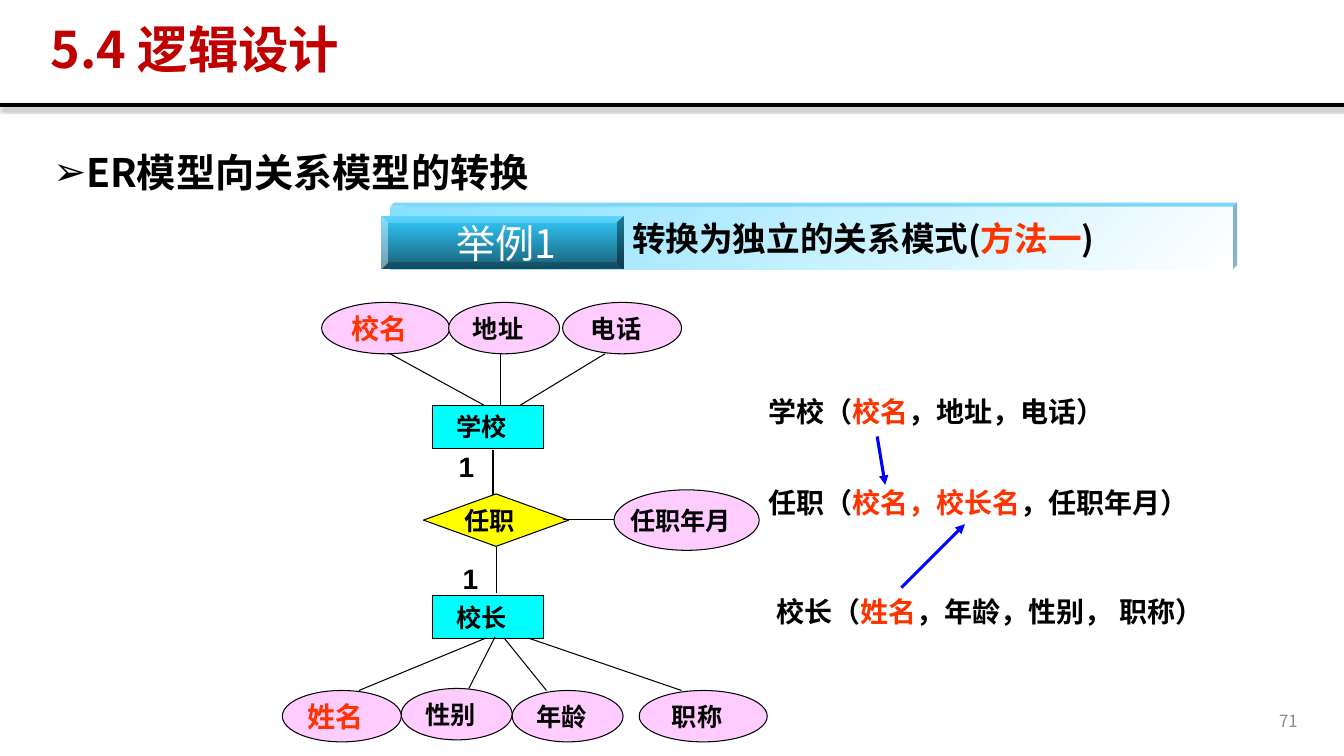
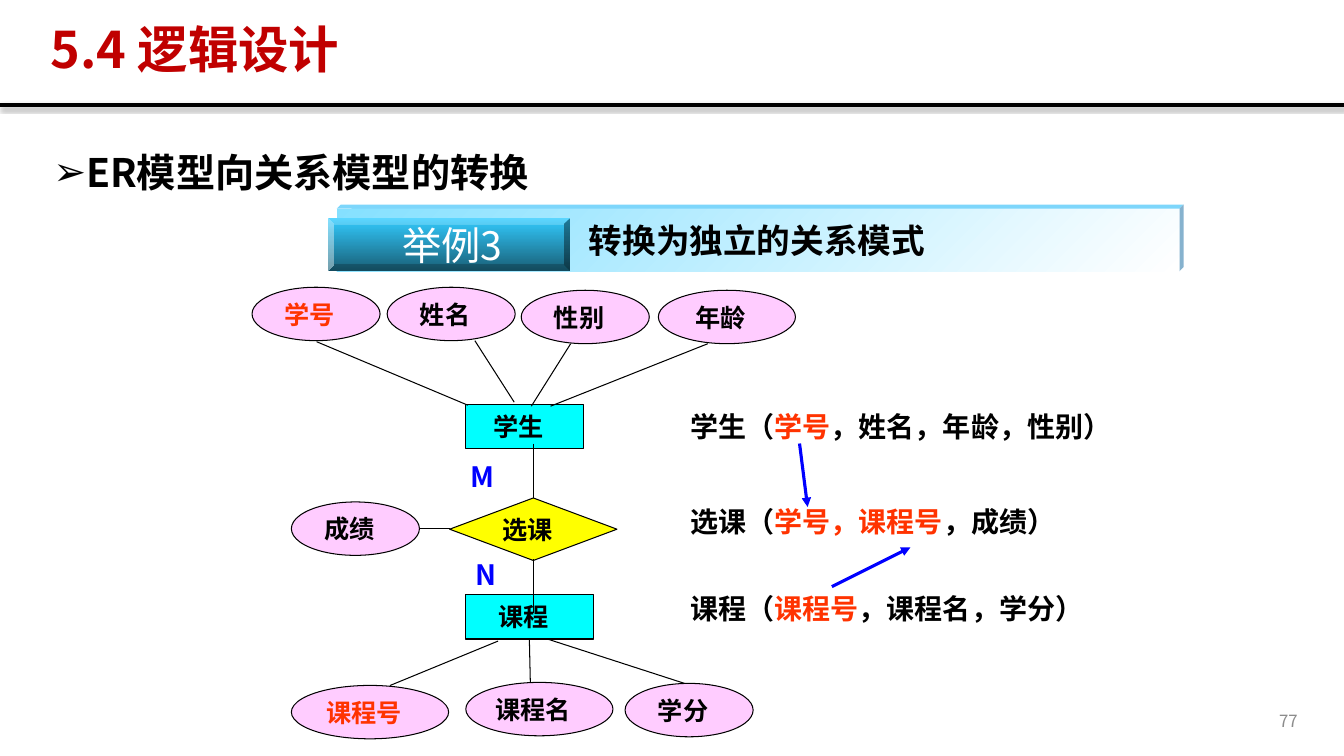
from lxml.etree import SubElement
from pptx import Presentation
from pptx.dml.color import RGBColor
from pptx.enum.shapes import MSO_CONNECTOR, MSO_SHAPE
from pptx.enum.text import MSO_ANCHOR, MSO_AUTO_SIZE, PP_ALIGN
from pptx.oxml import parse_xml
from pptx.oxml.ns import nsdecls, qn
from pptx.util import Pt

PX = 9144
FONT = "Noto Sans CJK SC"
COLORS = {
    "black": "000000", "white": "FFFFFF", "title": "C00000", "key": "FF3300",
    "number": "8C8C8C", "entity": "00FFFF", "relation": "FFFF00",
    "attribute": "FFCCFF", "arrow": "0000FF", "banner": "85E0FF",
    "banner_top": "7DD6FB", "banner_side": "86B2CE",
    "badge": "33CCFF", "badge_dark": "185E76",
}
OUTLINES = {"entity": MSO_SHAPE.RECTANGLE, "relation": MSO_SHAPE.DIAMOND,
            "attribute": MSO_SHAPE.OVAL}

SCHOOL = {
    "number": "71",
    "banner": (387, 205, "举例1", 240,
               [("转换为独立的关系模式(", "black"), ("方法一", "key"), (")", "black")]),
    "nodes": [
        ("entity", "学校", 429, 402, 110, 43),
        ("entity", "校长", 429, 591, 110, 43),
        ("relation", "任职", 420, 490, 144, 52),
        ("attribute", "任职年月", 609, 486, 144, 60),
        ("attribute", "校名", 319, 300, 127, 51, "key", 20),
        ("attribute", "地址", 445, 300, 110, 51),
        ("attribute", "电话", 558, 300, 118, 51),
        ("attribute", "性别", 398, 683, 110, 51),
        ("attribute", "年龄", 508, 685, 110, 51),
        ("attribute", "姓名", 280, 685, 118, 51, "key", 20),
        ("attribute", "职称", 634, 685, 127, 51),
    ],
    "links": [
        (489, 446, 489, 491), (492, 543, 492, 588), (558, 515, 609, 515),
        (387, 351, 480, 402), (496, 351, 496, 402), (600, 351, 516, 402),
        (491, 632, 465, 683), (500, 633, 542, 685), (482, 633, 356, 685),
        (524, 633, 676, 685),
    ],
    "cardinalities": [("1", 445, 441, "black", "Arial"), ("1", 449, 552, "black", "Arial")],
    "schemas": [
        (752, 386, "学校（", "校名", "，地址，电话）"),
        (752, 477, "任职（", "校名，校长名", "，任职年月）"),
        (760, 585, "校长（", "姓名", "，年龄，性别， 职称）"),
    ],
    "arrows": [(870, 433, 878, 481), (894, 583, 957, 520)],
}

COURSE = {
    "number": "77",
    "banner": (334, 207, "举例3", 250, [("转换为独立的关系模式", "black")]),
    "nodes": [
        ("entity", "学生", 462, 401, 117, 44),
        ("entity", "课程", 462, 590, 127, 44),
        ("relation", "选课", 446, 494, 166, 62),
        ("attribute", "成绩", 289, 498, 127, 53),
        ("attribute", "课程名", 462, 677, 146, 53),
        ("attribute", "课程号", 289, 680, 156, 53, "key"),
        ("attribute", "学分", 620, 678, 127, 53),
        ("attribute", "学号", 250, 285, 127, 53, "key"),
        ("attribute", "姓名", 384, 285, 127, 53),
        ("attribute", "性别", 517, 288, 127, 53),
        ("attribute", "年龄", 653, 288, 136, 53),
    ],
    "links": [
        (416, 524, 446, 524), (529, 440, 529, 494), (529, 555, 529, 608),
        (525, 633, 526, 677), (494, 636, 387, 680), (543, 634, 679, 678),
        (314, 339, 464, 402), (471, 338, 510, 399), (566, 341, 527, 403),
        (702, 341, 546, 403),
    ],
    "cardinalities": [("M", 457, 451, "arrow", FONT), ("N", 462, 548, "arrow", FONT)],
    "schemas": [
        (675, 401, "学生（", "学号", "，姓名，年龄，性别）"),
        (675, 496, "选课（", "学号，课程号", "，成绩）"),
        (675, 582, "课程（", "课程号", "，课程名，学分）"),
    ],
    "arrows": [(793, 440, 801, 503), (825, 582, 903, 543)],
}


def color(name):
    """Return the named colour."""
    return RGBColor.from_string(COLORS[name])


def px(*lengths):
    """Turn pixel lengths into EMU."""
    return [length * PX for length in lengths]


def write(frame, runs, size=18, bold=True, font=FONT, align=PP_ALIGN.LEFT,
          anchor=MSO_ANCHOR.TOP, wrap=False, spacing=None, bullet=None,
          margins=(10, 5, 10, 5)):
    """Fill a text frame with one paragraph of (text, colour) runs."""
    frame.word_wrap = wrap
    frame.auto_size = MSO_AUTO_SIZE.NONE
    frame.vertical_anchor = anchor
    (frame.margin_left, frame.margin_top,
     frame.margin_right, frame.margin_bottom) = px(*margins)
    paragraph = frame.paragraphs[0]
    paragraph.alignment = align
    paragraph.space_before = Pt(0)
    if spacing:
        paragraph.line_spacing = spacing
    if bullet:
        properties = paragraph._p.get_or_add_pPr()
        properties.set("marL", str(25 * PX))
        properties.set("indent", str(-25 * PX))
        SubElement(properties, qn("a:buChar")).set("char", bullet)
    for text, color_name in runs:
        run = paragraph.add_run()
        run.text = text
        run.font.size = Pt(size)
        run.font.bold = bold
        run.font.color.rgb = color(color_name)
        run.font.name = font
        SubElement(run._r.get_or_add_rPr(), qn("a:ea")).set("typeface", font)


def add_text(slide, box, runs, **formatting):
    """Add a text box."""
    shape = slide.shapes.add_textbox(*px(*box))
    write(shape.text_frame, runs, **formatting)


def paint(shape, fill, line=None):
    """Give a shape a solid fill and an optional thin outline."""
    shape.shadow.inherit = False
    shape.fill.solid()
    shape.fill.fore_color.rgb = color(fill)
    if line:
        shape.line.color.rgb = color(line)
        shape.line.width = Pt(0.75)
    else:
        shape.line.fill.background()


def paint_gradient(shape, start, end, angle):
    """Give a shape a two-colour gradient without an outline."""
    shape.shadow.inherit = False
    shape.line.fill.background()
    shape.fill.gradient()
    shape.fill.gradient_angle = angle
    for stop, name in zip(shape.fill.gradient_stops, (start, end)):
        stop.color.rgb = color(name)


def add_line(slide, ends, line="black", width=0.75, arrow=False):
    """Add a straight line, with an arrowhead at its end on request."""
    connector = slide.shapes.add_connector(MSO_CONNECTOR.STRAIGHT, *px(*ends))
    connector.line.color.rgb = color(line)
    connector.line.width = Pt(width)
    if arrow:
        SubElement(connector.line._get_or_add_ln(), qn("a:tailEnd")).set("type", "triangle")
    SubElement(connector.element.spPr, qn("a:effectLst"))
    return connector


def add_node(slide, kind, text, left, top, width, height, ink="black", size=18):
    """Add an entity, a relation or an attribute of the diagram."""
    shape = slide.shapes.add_shape(OUTLINES[kind], *px(left, top, width, height))
    paint(shape, kind, "black")
    write(shape.text_frame, [(text, ink)], size=size, align=PP_ALIGN.CENTER,
          anchor=MSO_ANCHOR.MIDDLE, margins=(0, 0, 12, 0))


def add_facet(slide, points, fill):
    """Add one edge of the raised banner."""
    builder = slide.shapes.build_freeform(*points[0], scale=PX)
    builder.add_line_segments(points[1:])
    paint(builder.convert_to_shape(), fill)


def add_banner(slide, left, top, label, indent, runs):
    """Add the raised banner with its example badge."""
    width, height, depth = 836, 62, 4
    right, bottom = left + width, top + height
    panel = slide.shapes.add_shape(MSO_SHAPE.RECTANGLE, *px(left, top, width, height))
    paint_gradient(panel, "banner", "white", 315)
    write(panel.text_frame, runs, size=24, anchor=MSO_ANCHOR.MIDDLE,
          margins=(indent, 5, 0, 5))
    upper = (right + depth, top - depth)
    add_facet(slide, [(left, top), (left + depth, top - depth), upper, (right, top)],
              "banner_top")
    add_facet(slide, [(right, top), upper, (right + depth, bottom - depth),
                      (right, bottom)], "banner_side")
    badge = slide.shapes.add_shape(MSO_SHAPE.BEVEL, *px(left - 9, top + 9, 241, 53))
    badge.adjustments[0] = 0.125
    paint_gradient(badge, "badge", "badge_dark", 270)
    write(badge.text_frame, [(label, "white")], size=28, bold=False,
          align=PP_ALIGN.CENTER, anchor=MSO_ANCHOR.MIDDLE, margins=(7, 0, 0, 0))


def place(shape, box):
    """Move and size a shape."""
    shape.left, shape.top, shape.width, shape.height = px(*box)


def prepare_layout(presentation):
    """Place the title and body of the shared layout."""
    layout = presentation.slide_layouts[1]
    place(layout.placeholders[0], (40, 19, 1170, 65))
    place(layout.placeholders[1], (43, 133, 1253, 542))
    return layout


def add_title_rule(slide, layout):
    """Draw the shadowed rule under the title on the shared layout."""
    rule = add_line(slide, (0, 104, 1333, 104), width=3)
    rule.element.spPr.find(qn("a:effectLst")).append(parse_xml(
        f'<a:outerShdw {nsdecls("a")} blurRad="39370" dist="22860" dir="5400000" '
        'rotWithShape="0"><a:srgbClr val="000000"><a:alpha val="35000"/></a:srgbClr>'
        '</a:outerShdw>'))
    layout.element.cSld.spTree.append(rule.element)


def add_example(presentation, layout, example):
    """Build one slide with a diagram and the schemas it turns into."""
    slide = presentation.slides.add_slide(layout)
    write(slide.shapes.title.text_frame, [("5.4 逻辑设计", "title")], size=36,
          align=PP_ALIGN.JUSTIFY, anchor=MSO_ANCHOR.MIDDLE, wrap=True, spacing=0.9)
    write(slide.placeholders[1].text_frame, [("ER模型向关系模型的转换", "black")],
          size=28, align=PP_ALIGN.JUSTIFY, wrap=True, spacing=1.2, bullet="➢")
    add_text(slide, (997, 695, 300, 40), [(example["number"], "number")], size=12,
             bold=False, align=PP_ALIGN.RIGHT, anchor=MSO_ANCHOR.MIDDLE, wrap=True)
    for node in example["nodes"]:
        add_node(slide, *node)
    for ends in example["links"]:
        add_line(slide, ends)
    for text, left, top, ink, font in example["cardinalities"]:
        add_text(slide, (left, top, 44, 43), [(text, ink)], size=20, font=font)
    for left, top, relation, keys, others in example["schemas"]:
        add_text(slide, (left, top, 480, 43),
                 [(relation, "black"), (keys, "key"), (others, "black")], size=20)
    for ends in example["arrows"]:
        add_line(slide, ends, line="arrow", width=2.25, arrow=True)
    add_banner(slide, *example["banner"])
    return slide


def main():
    """Build and save the presentation."""
    presentation = Presentation()
    presentation.slide_width, presentation.slide_height = px(1333, 750)
    layout = prepare_layout(presentation)
    slides = [add_example(presentation, layout, example) for example in (SCHOOL, COURSE)]
    add_title_rule(slides[0], layout)
    presentation.save("out.pptx")


if __name__ == "__main__":
    main()
